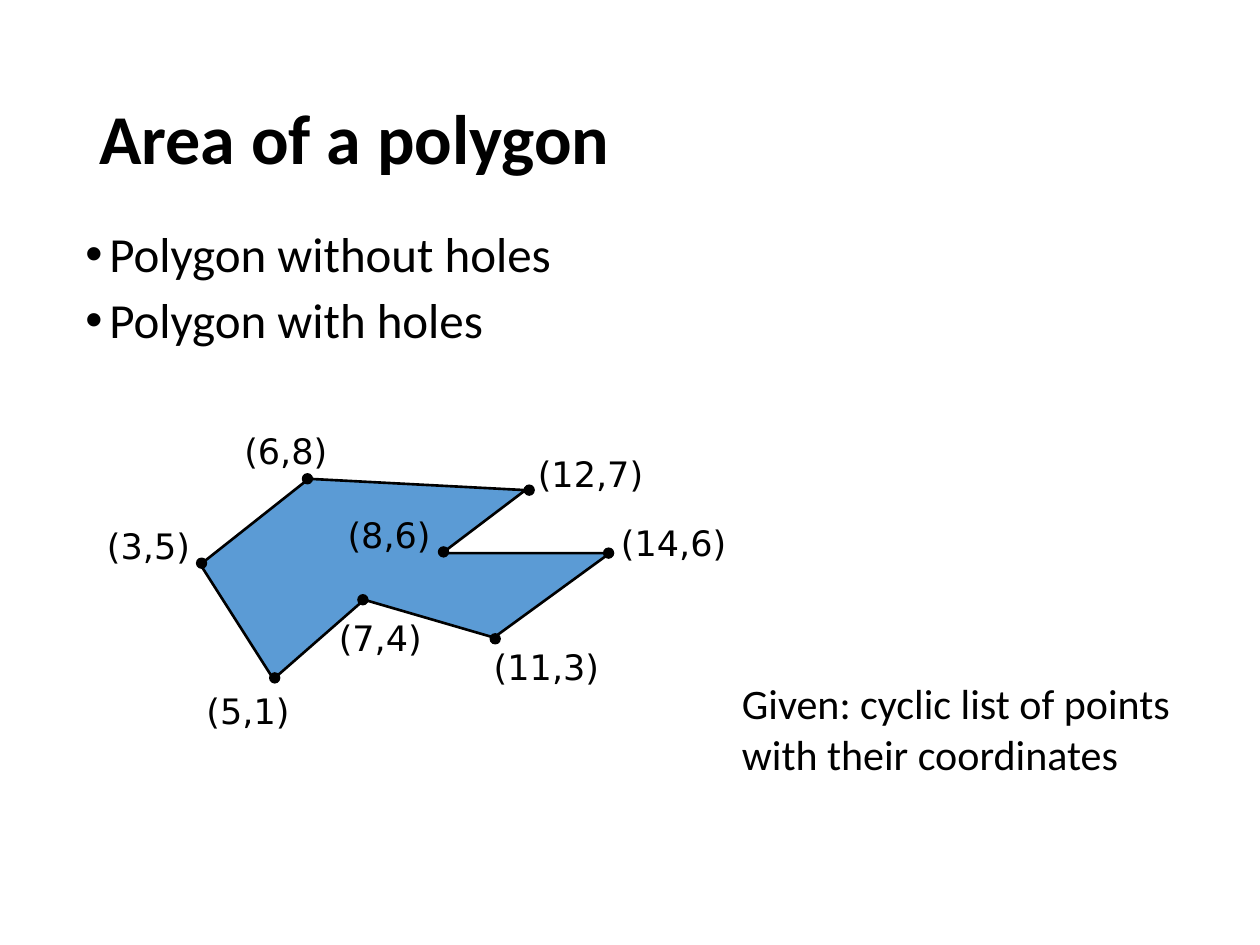
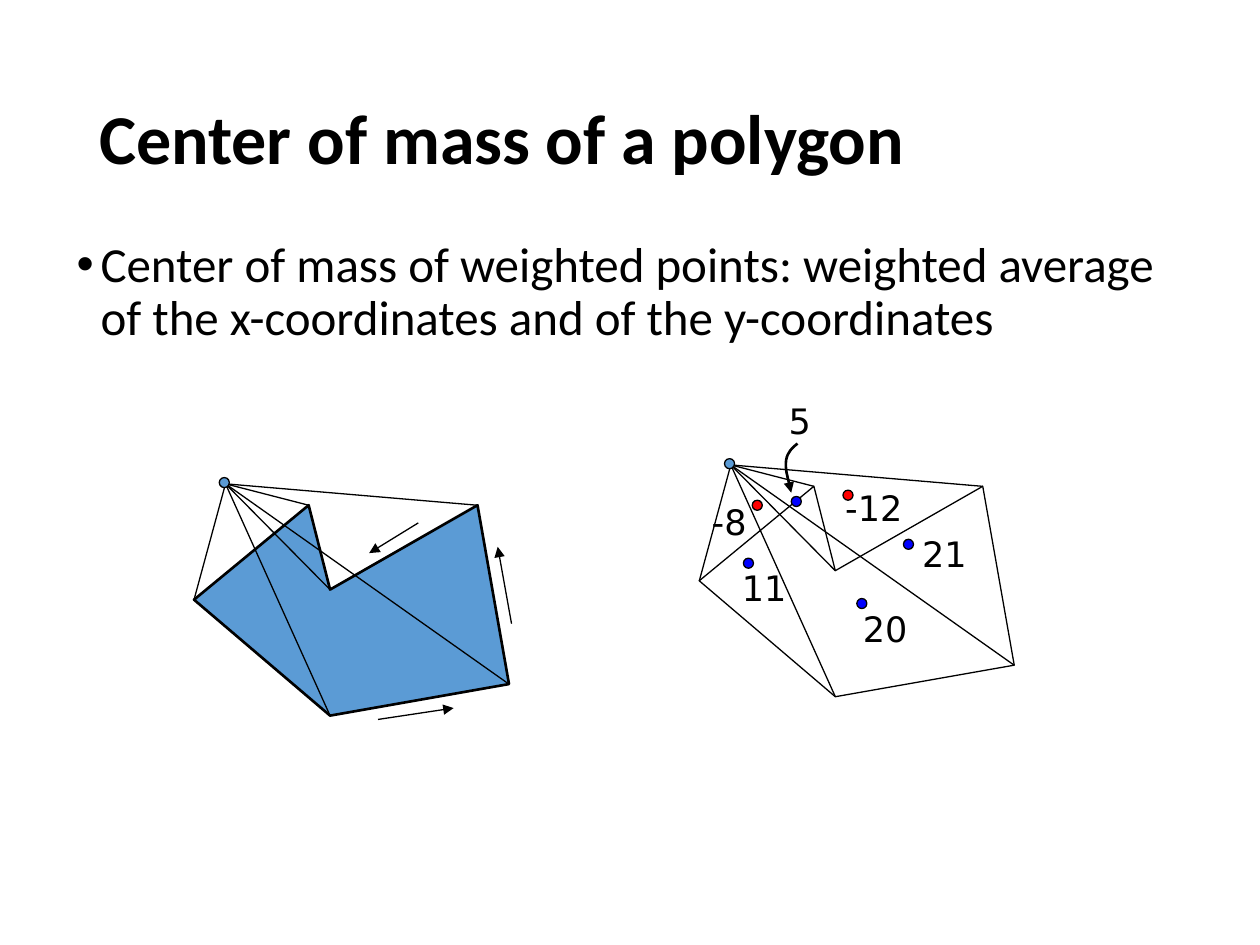
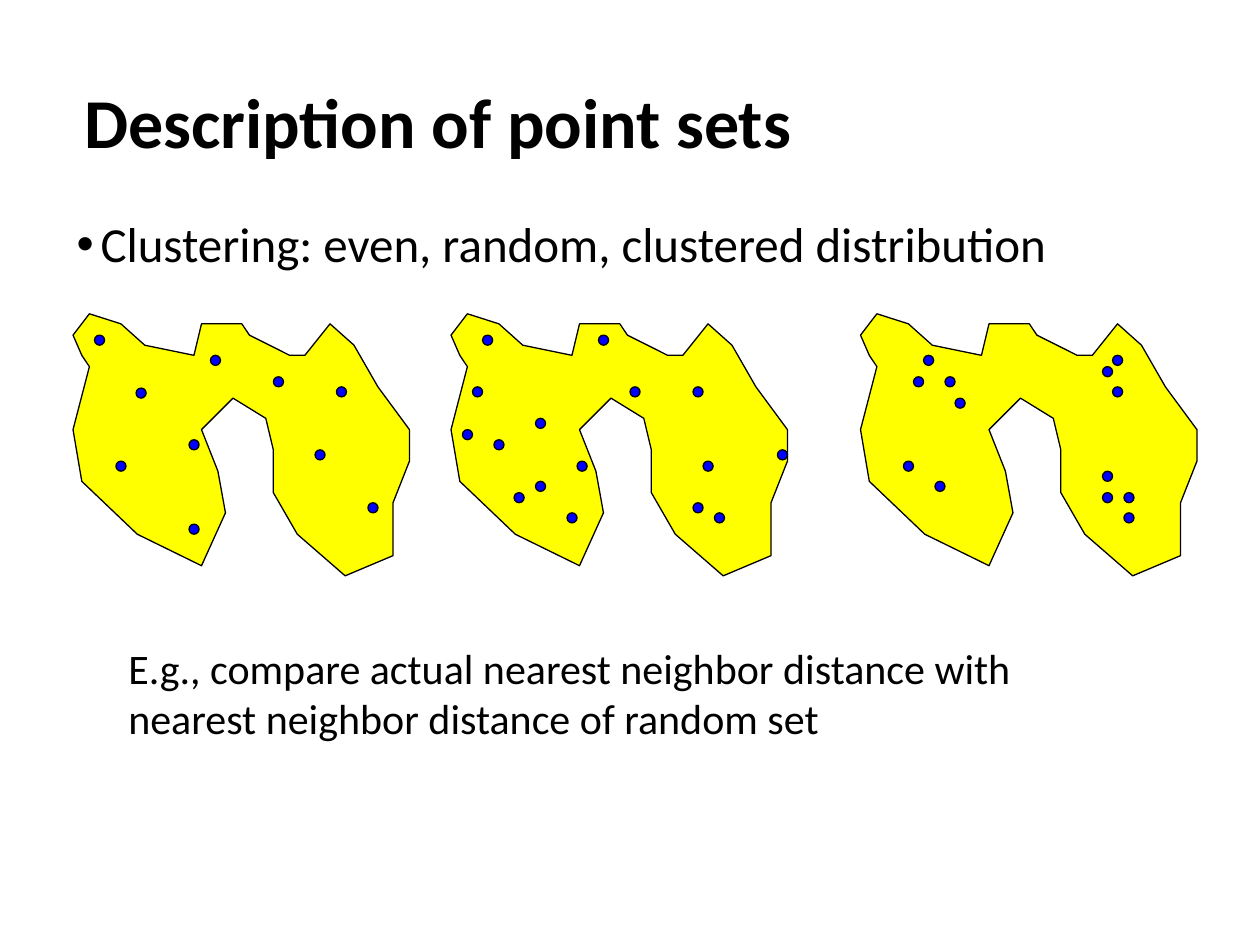
from dataclasses import dataclass

from lxml.etree import SubElement
from pptx import Presentation
from pptx.dml.color import RGBColor
from pptx.enum.shapes import MSO_CONNECTOR as Connector, MSO_SHAPE as Shape
from pptx.enum.text import MSO_ANCHOR as Anchor, MSO_AUTO_SIZE as AutoSize
from pptx.oxml.ns import qn
from pptx.util import Inches, Pt


@dataclass(frozen=True)
class Theme:
    ink: str = "000000"
    polygon: str = "5B9BD5"
    region: str = "FFFF00"
    positive: str = "0000FF"
    negative: str = "FF0000"
    body_font: str = "Calibri"
    label_font: str = "DejaVu Sans"
    title_size: int = 40
    bullet_size: int = 28
    note_size: int = 24
    label_size: int = 20
    thin: float = 0.75
    thick: float = 1.5
    dot: float = 0.08


THEME = Theme()
TITLE_AT = (0.69, 0.4, 8.62, 1.45)
LABEL_HEIGHT = 0.43

# Area slide: label, vertex, dot corner, label corner, label width
AREA_POINTS = [
    ("(3,5)", (1.59, 4.48), (1.56, 4.43), (0.75, 4.11), 0.91),
    ("(5,1)", (2.17, 5.39), (2.14, 5.34), (1.54, 5.42), 0.91),
    ("(7,4)", (2.89, 4.76), (2.84, 4.72), (2.59, 4.84), 0.91),
    ("(11,3)", (3.92, 5.06), (3.89, 5.03), (3.82, 5.07), 1.09),
    ("(14,6)", (4.84, 4.39), (4.79, 4.35), (4.83, 4.09), 1.09),
    ("(8,6)", (3.51, 4.39), (3.48, 4.34), (2.66, 4.03), 0.91),
    ("(12,7)", (4.17, 3.89), (4.16, 3.85), (4.17, 3.54), 1.09),
    ("(6,8)", (2.45, 3.8), (2.4, 3.76), (1.84, 3.36), 0.91),
]

# Center of mass slide: polygon, apex of the triangles, weighted centers
MASS_POLYGON = [(1.54, 4.76), (2.45, 4.01), (2.62, 4.68),
                (3.79, 4.01), (4.04, 5.43), (2.62, 5.68)]
APEX = (1.79, 3.84)
WEIGHTED_SHIFT = (4.01, -0.15)
DIRECTIONS = [((3, 5.71), (3.6, 5.62)), ((4.06, 4.95), (3.95, 4.34)),
              ((3.32, 4.15), (2.93, 4.39))]
# Weight, dot corner, label corner, label width
WEIGHTS = [
    (20, (6.8, 4.75), (6.75, 4.77), 0.56),
    (21, (7.17, 4.28), (7.22, 4.18), 0.56),
    (11, (5.9, 4.43), (5.79, 4.45), 0.56),
    (-12, (6.69, 3.89), (6.61, 3.81), 0.68),
    (-8, (5.97, 3.97), (5.55, 3.92), 0.51),
    (5, (6.28, 3.94), (6.16, 3.12), 0.38),
]
POINTER_CURVE = [(6.33, 3.52), (6.29, 3.55), (6.25, 3.59), (6.24, 3.65),
                 (6.23, 3.72), (6.27, 3.86), (6.28, 3.91)]

# Point set slide: one outline, repeated with different dots
REGION = [
    (0.71, 2.91), (0.58, 3.41), (0.65, 3.82), (1.09, 4.24), (1.6, 4.49),
    (1.79, 4.07), (1.73, 3.74), (1.6, 3.41), (1.85, 3.16), (2.11, 3.32),
    (2.17, 3.57), (2.17, 3.91), (2.36, 4.24), (2.74, 4.57), (3.12, 4.41),
    (3.12, 3.99), (3.25, 3.66), (3.25, 3.41), (3, 3.07), (2.81, 2.74),
    (2.62, 2.57), (2.42, 2.82), (2.3, 2.82), (1.98, 2.66), (1.92, 2.57),
    (1.6, 2.57), (1.54, 2.82), (1.15, 2.74), (0.96, 2.57), (0.71, 2.49),
    (0.58, 2.66), (0.65, 2.82),
]
EVEN = [(0.75, 2.66), (1.67, 2.82), (2.17, 2.99), (1.08, 3.08), (2.67, 3.07),
        (1.5, 3.49), (2.5, 3.57), (0.92, 3.66), (2.92, 3.99), (1.5, 4.16)]
RANDOM = [(0.83, 2.66), (1.75, 2.66), (0.75, 3.07), (2, 3.07), (2.5, 3.07),
          (1.25, 3.32), (0.67, 3.41), (0.92, 3.49), (3.17, 3.57), (1.58, 3.66),
          (2.58, 3.66), (1.25, 3.82), (1.08, 3.91), (2.5, 3.99), (1.5, 4.07),
          (2.67, 4.07)]
CLUSTERED = [(1.08, 2.82), (2.58, 2.82), (2.5, 2.91), (1, 2.99), (1.25, 2.99),
             (2.58, 3.07), (1.33, 3.16), (0.92, 3.66), (2.5, 3.74),
             (1.17, 3.82), (2.5, 3.91), (2.67, 3.91), (2.67, 4.07)]
POINT_SETS = [(0, EVEN), (3, RANDOM), (6.25, CLUSTERED)]


def color(code):
    return RGBColor.from_string(code)


def shift(points, dx, dy=0):
    return [(x + dx, y + dy) for x, y in points]


# Text
def add_text(page, at, lines, size, font=THEME.body_font, bold=False,
             wrap=True, grow=False, spacing=None, bullet=False):
    box = page.shapes.add_textbox(*map(Inches, at))
    frame = box.text_frame
    frame.text = "\n".join(lines)
    frame.word_wrap = wrap
    frame.auto_size = AutoSize.SHAPE_TO_FIT_TEXT if grow else AutoSize.NONE
    for index, para in enumerate(frame.paragraphs):
        if bullet:
            properties = para._p.get_or_add_pPr()
            properties.set("marL", str(Inches(0.19)))
            properties.set("indent", str(Inches(-0.19)))
            SubElement(properties, qn("a:buFont"), typeface="Arial")
            SubElement(properties, qn("a:buChar"), char="•")
            if index:
                para.space_before = Pt(7.5)
        if spacing:
            para.line_spacing = spacing
        for span in para.runs:
            span.font.name = font
            span.font.size = Pt(size)
            span.font.bold = bold
            span.font.color.rgb = color(THEME.ink)
    return box


def add_title(page, text, at=TITLE_AT):
    box = add_text(page, at, [text], THEME.title_size, bold=True, spacing=0.9)
    box.text_frame.vertical_anchor = Anchor.MIDDLE


def add_bullets(page, at, lines):
    add_text(page, at, lines, THEME.bullet_size, spacing=0.9, bullet=True)


def add_note(page, at, text):
    add_text(page, at, [text], THEME.note_size, grow=True)


def add_label(page, corner, width, text):
    add_text(page, (*corner, width, LABEL_HEIGHT), [text], THEME.label_size,
             THEME.label_font, wrap=False, grow=True)


# Drawing
def style_shape(shape, fill, weight):
    shape.shadow.inherit = False
    if fill:
        shape.fill.solid()
        shape.fill.fore_color.rgb = color(fill)
    else:
        shape.fill.background()
    style_line(shape, weight)


def style_line(shape, weight, arrow=False):
    shape.line.color.rgb = color(THEME.ink)
    shape.line.width = Pt(weight)
    if arrow:
        SubElement(shape.line._get_or_add_ln(), qn("a:tailEnd"), type="triangle")


def add_outline(page, points, fill=None, weight=THEME.thin, close=True):
    start, *rest = [(Inches(x), Inches(y)) for x, y in points]
    builder = page.shapes.build_freeform(*start)
    builder.add_line_segments(rest, close=close)
    shape = builder.convert_to_shape()
    style_shape(shape, fill, weight)
    return shape


def add_curve_arrow(page, points):
    shape = add_outline(page, points, weight=THEME.thick, close=False)
    outline = next(shape._element.iter(qn("a:path")))
    segments = outline.findall(qn("a:lnTo"))
    # Every three points after the start form one Bezier segment
    for first in range(0, len(segments), 3):
        curve = SubElement(outline, qn("a:cubicBezTo"))
        for segment in segments[first:first + 3]:
            curve.append(segment[0])
            outline.remove(segment)
    SubElement(shape.line._get_or_add_ln(), qn("a:tailEnd"), type="triangle")


def add_line(page, start, end, arrow=False):
    line = page.shapes.add_connector(
        Connector.STRAIGHT, *map(Inches, (*start, *end)))
    style_line(line, THEME.thin, arrow)
    SubElement(line._element.spPr, qn("a:effectLst"))


def add_dot(page, corner, fill):
    dot = page.shapes.add_shape(
        Shape.OVAL, *map(Inches, (*corner, THEME.dot, THEME.dot)))
    style_shape(dot, fill, THEME.thin)


def add_fan(page, polygon, apex, fill, weight):
    add_outline(page, polygon, fill, weight)
    for vertex in polygon:
        add_line(page, apex, vertex)
    add_dot(page, (apex[0] - 0.05, apex[1] - 0.05), THEME.polygon)


# Slides
def build_area(page):
    add_title(page, "Area of a polygon")
    add_bullets(page, (0.58, 1.78, 5.54, 1.53),
                ["Polygon without holes", "Polygon with holes"])
    add_outline(page, [point[1] for point in AREA_POINTS],
                THEME.polygon, THEME.thick)
    for label, _, dot_corner, label_corner, width in AREA_POINTS:
        add_label(page, label_corner, width, label)
        add_dot(page, dot_corner, THEME.ink)
    add_note(page, (5.79, 5.33, 3.66, 0.91),
             "Given: cyclic list of points with their coordinates")


def build_center_of_mass(page):
    add_title(page, "Center of mass of a polygon")
    add_bullets(page, (0.51, 1.86, 8.82, 1.67),
                ["Center of mass of weighted points: weighted average "
                 "of the x-coordinates and of the y-coordinates"])
    add_fan(page, MASS_POLYGON, APEX, THEME.polygon, THEME.thick)
    for start, end in DIRECTIONS:
        add_line(page, start, end, arrow=True)
    *polygon, apex = shift(MASS_POLYGON + [APEX], *WEIGHTED_SHIFT)
    add_fan(page, polygon, apex, None, THEME.thin)
    for weight, dot_corner, label_corner, width in WEIGHTS:
        add_dot(page, dot_corner,
                THEME.positive if weight > 0 else THEME.negative)
        add_label(page, label_corner, width, str(weight))
    add_curve_arrow(page, POINTER_CURVE)


def build_point_sets(page):
    add_title(page, "Description of point sets", (0.57, 0.37, 9, 1.25))
    add_bullets(page, (0.51, 1.7, 8.83, 0.83),
                ["Clustering: even, random, clustered distribution"])
    for offset, dots in POINT_SETS:
        add_outline(page, shift(REGION, offset), THEME.region)
        for corner in shift(dots, offset):
            add_dot(page, corner, THEME.positive)
    add_note(page, (0.92, 5.05, 8.25, 0.91),
             "E.g., compare actual nearest neighbor distance with "
             "nearest neighbor distance of random set")


def main():
    deck = Presentation()
    deck.slide_width, deck.slide_height = Inches(10), Inches(7.5)
    for build in (build_area, build_center_of_mass, build_point_sets):
        build(deck.slides.add_slide(deck.slide_layouts[6]))
    deck.save("out.pptx")


if __name__ == "__main__":
    main()
